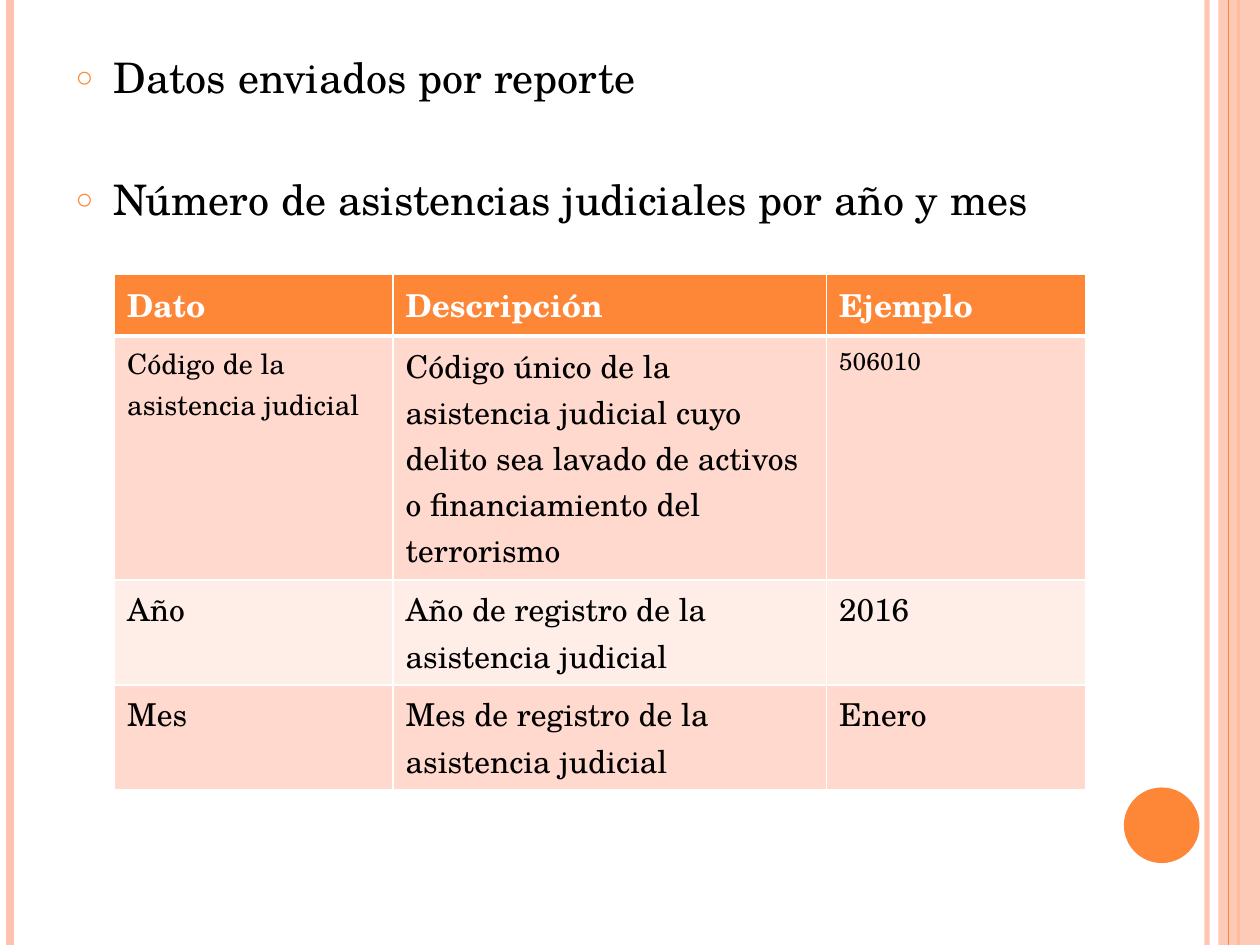
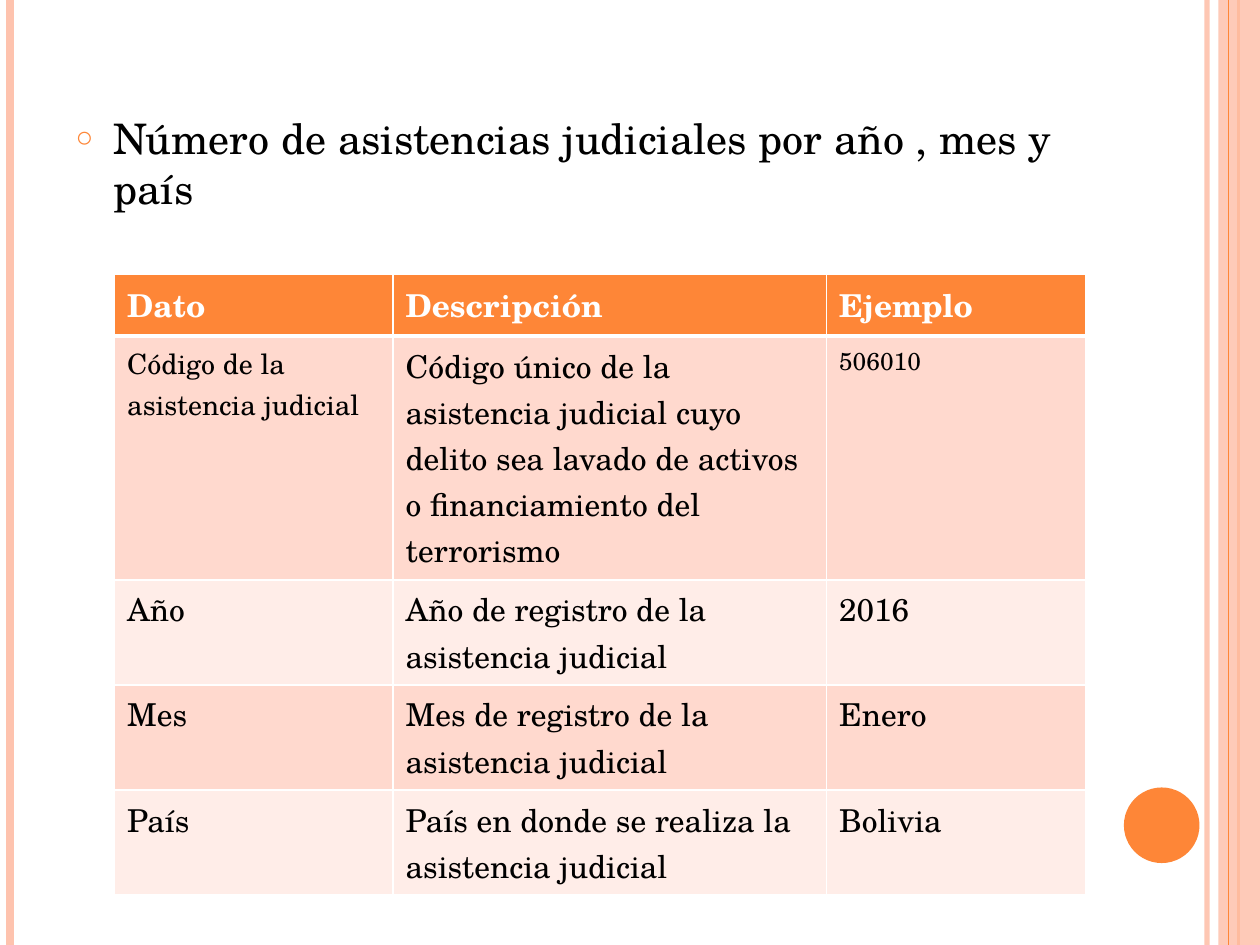
"""Builds two slides describing the judicial assistance data sent per report."""
from lxml import etree
from pptx import Presentation
from pptx import util as u
from pptx.dml.color import RGBColor
from pptx.enum import shapes, text
from pptx.oxml import ns

FONT = "TeX Gyre Schola"
ORANGE = RGBColor(0xFE, 0x86, 0x37)
PEACH = RGBColor(0xFE, 0xC3, 0xAE)
BAND_DARK = RGBColor(0xFF, 0xD9, 0xCE)
BAND_LIGHT = RGBColor(0xFF, 0xED, 0xE8)
WHITE = RGBColor(0xFF, 0xFF, 0xFF)
BLACK = RGBColor(0, 0, 0)

WIDTH, HEIGHT = 10, 7.5
HEADER = ("Dato", "Descripción", "Ejemplo")
FIELDS = [
    ("Código de la asistencia judicial",
     "Código único de la asistencia judicial cuyo delito sea lavado de activos "
     "o financiamiento del terrorismo", "506010"),
    ("Año", "Año de registro de la asistencia judicial", "2016"),
    ("Mes", "Mes de registro de la asistencia judicial", "Enero"),
]
COUNTRY = ("País", "País en donde se realiza la asistencia judicial", "Bolivia")
REPORTS = [
    {"topics": ["Datos enviados por reporte",
                "Número de asistencias judiciales por año y mes"],
     "top": 0.36, "fields": FIELDS},
    {"topics": ["Número de asistencias judiciales por año , mes y país"],
     "top": 0.84, "fields": FIELDS + [COUNTRY]},
]
BODY_LEFT, BODY_WIDTH, BODY_BOTTOM = 0.5, 8.17, 7.08
TOPIC_GAPS = (6, 41)
TABLE_LEFT, TABLE_TOP = 0.91, 2.18
COLUMN_WIDTHS = (2.21, 3.44, 2.06)
ROW_HEIGHTS = (0.48, 1.93, 0.83, 0.83, 0.83)
CODE_SIZES = (16, 18, 14)
STRIPES_BEHIND = [(9.58, PEACH, 3, 93), (0.08, PEACH, 4.5, 100), (9.83, ORANGE, 1.5, 100)]
STRIPES_FRONT = [(9.75, ORANGE, 0.75, 100)]


def apply(target, values):
    for name, value in values.items():
        setattr(target, name, value)


def add_xml(parent, tag, **attributes):
    return etree.SubElement(parent, ns.qn(tag), attributes)


def set_opacity(owner, percent):
    if percent < 100:
        color = next(owner.iter(ns.qn("a:srgbClr")))
        add_xml(color, "a:alpha", val=str(percent * 1000))


def style_font(font, size, color, bold=False):
    apply(font, {"name": FONT, "size": u.Pt(size), "bold": bold})
    font.color.rgb = color


def add_stripe(slide, x, color, width, opacity):
    stripe = slide.shapes.add_connector(
        shapes.MSO_CONNECTOR.STRAIGHT, u.Inches(x), 0, u.Inches(x), u.Inches(HEIGHT))
    stripe.line.color.rgb = color
    stripe.line.width = u.Pt(width)
    outline = stripe.element.spPr
    set_opacity(outline, opacity)
    add_xml(outline, "a:effectLst")
    return stripe


def add_block(slide, preset, box, color, opacity=100):
    block = slide.shapes.add_shape(preset, *map(u.Inches, box))
    block.shadow.inherit = False
    block.fill.solid()
    block.fill.fore_color.rgb = color
    block.line.fill.background()
    set_opacity(block.element.spPr, opacity)
    return block


def decorate_layout(layout, slide):
    preset = shapes.MSO_SHAPE
    decorations = [add_stripe(slide, *stripe) for stripe in STRIPES_BEHIND]
    decorations.append(
        add_block(slide, preset.RECTANGLE, (9.67, 0, 0.33, HEIGHT), PEACH, 87))
    decorations += [add_stripe(slide, *stripe) for stripe in STRIPES_FRONT]
    decorations.append(add_block(slide, preset.OVAL, (8.92, 6.25, 0.6, 0.6), ORANGE))
    for number, part in enumerate(decorations, 100):
        next(part.element.iter(ns.qn("p:cNvPr"))).set("id", str(number))
        layout.shapes.element.append(part.element)


def fill_topics(body, topics, top):
    apply(body, {"left": u.Inches(BODY_LEFT), "top": u.Inches(top),
                 "width": u.Inches(BODY_WIDTH), "height": u.Inches(BODY_BOTTOM - top)})
    frame = body.text_frame
    apply(frame, {"word_wrap": True, "auto_size": text.MSO_AUTO_SIZE.NONE,
                  "vertical_anchor": text.MSO_ANCHOR.TOP})
    frame.text = "\n".join(topics)
    for topic, gap in zip(frame.paragraphs, TOPIC_GAPS):
        topic.space_before = u.Pt(gap)
        style_font(topic.runs[0].font, 24, BLACK)
        properties = topic._p.get_or_add_pPr()
        properties.set("marL", str(u.Inches(0.3)))
        properties.set("indent", str(-u.Inches(0.3)))
        add_xml(add_xml(properties, "a:buClr"), "a:srgbClr", val=str(ORANGE))
        add_xml(properties, "a:buSzPct", val="70000")
        add_xml(properties, "a:buChar", char="○")


def set_borders(cell, top, bottom):
    properties = cell._tc.get_or_add_tcPr()
    for side, width in (("L", 1), ("R", 1), ("T", top), ("B", bottom)):
        border = add_xml(properties, "a:ln" + side, w=str(u.Pt(width)))
        add_xml(add_xml(border, "a:solidFill"), "a:srgbClr", val=str(WHITE))


def add_field_table(slide, fields):
    rows = [HEADER] + fields
    heights = ROW_HEIGHTS[:len(rows)]
    table = slide.shapes.add_table(
        len(rows), len(HEADER), u.Inches(TABLE_LEFT), u.Inches(TABLE_TOP),
        u.Inches(sum(COLUMN_WIDTHS)), u.Inches(sum(heights))).table
    for column, width in zip(table.columns, COLUMN_WIDTHS):
        column.width = u.Inches(width)
    for r, (row, height) in enumerate(zip(rows, heights)):
        table.rows[r].height = u.Inches(height)
        heading = r == 0
        band = ORANGE if heading else BAND_DARK if r % 2 else BAND_LIGHT
        for c, wording in enumerate(row):
            cell = table.cell(r, c)
            set_borders(cell, 3 if r == 1 else 1, 3 if heading else 1)
            cell.fill.solid()
            cell.fill.fore_color.rgb = band
            cell.text = wording
            entry = cell.text_frame.paragraphs[0]
            style_font(entry.runs[0].font, CODE_SIZES[c] if r == 1 else 18,
                       WHITE if heading else BLACK, heading)


def build():
    deck = Presentation()
    apply(deck, {"slide_width": u.Inches(WIDTH), "slide_height": u.Inches(HEIGHT)})
    layout = deck.slide_layouts[1]
    for number, report in enumerate(REPORTS):
        slide = deck.slides.add_slide(layout)
        if number == 0:
            decorate_layout(layout, slide)
        title = slide.shapes.title.element
        title.getparent().remove(title)
        fill_topics(slide.placeholders[1], report["topics"], report["top"])
        add_field_table(slide, report["fields"])
    deck.save("out.pptx")


build()
